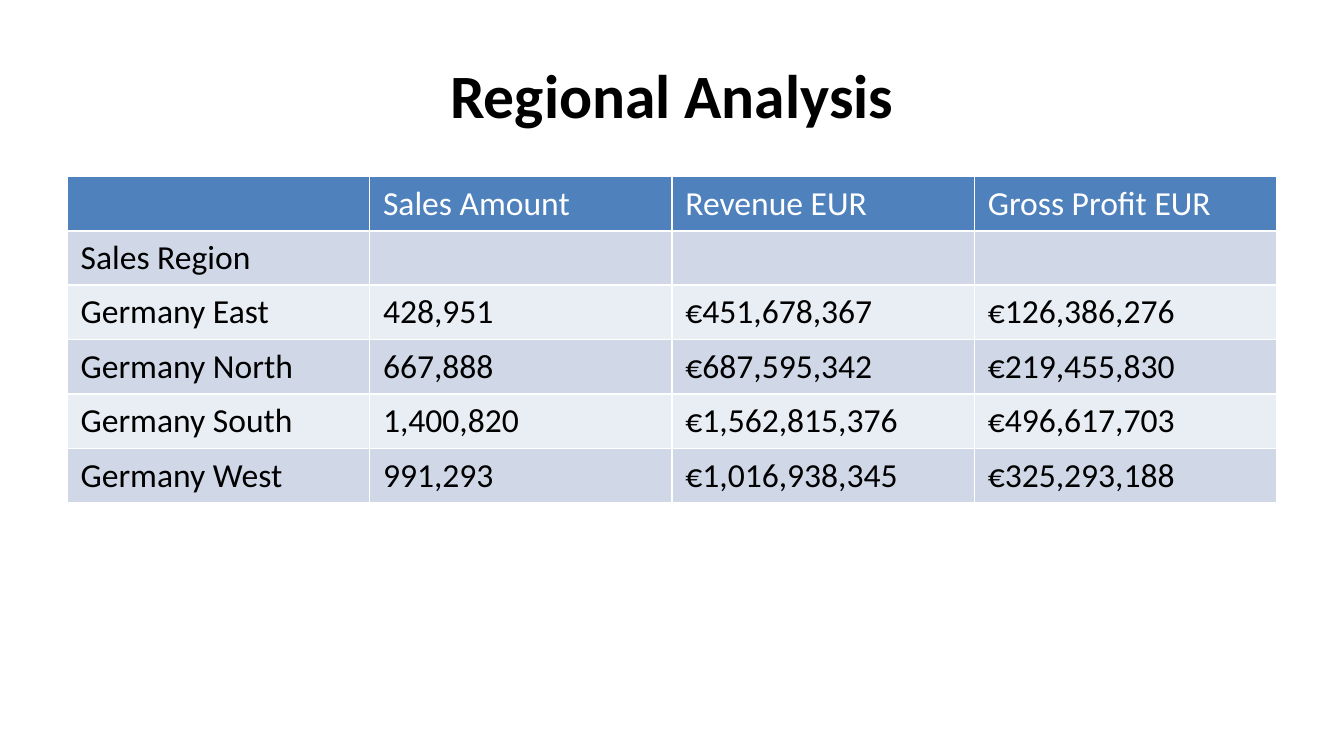
from lxml import etree
from pptx import Presentation
from pptx.dml.color import RGBColor
from pptx.enum import text
from pptx.oxml import ns
from pptx.util import Pt

FONT = "Calibri"
COLORS = {
    "header": "4F81BD",
    "band_dark": "D0D8E8",
    "band_light": "E9EDF4",
    "white": "FFFFFF",
    "black": "000000",
}
ROWS = [
    ["", "Sales Amount", "Revenue EUR", "Gross Profit EUR"],
    ["Sales Region", "", "", ""],
    ["Germany East", "428,951", "€451,678,367", "€126,386,276"],
    ["Germany North", "667,888", "€687,595,342", "€219,455,830"],
    ["Germany South", "1,400,820", "€1,562,815,376", "€496,617,703"],
    ["Germany West", "991,293", "€1,016,938,345", "€325,293,188"],
]
LEFT, WIDTH = Pt(36), Pt(648)
ROW_HEIGHT = Pt(29.16)


def rgb(name):
    return RGBColor.from_string(COLORS[name])


def format_runs(tf, size, color, bold=False):
    for p in tf.paragraphs:
        for r in p.runs:
            r.font.name = FONT
            r.font.size = Pt(size)
            r.font.bold = bold
            r.font.color.rgb = rgb(color)


def add_title(s, title):
    sp = s.shapes.add_textbox(LEFT, Pt(16.5), WIDTH, Pt(67.5))
    tf = sp.text_frame
    tf.word_wrap = True
    tf.vertical_anchor = text.MSO_ANCHOR.MIDDLE
    tf.text = title
    tf.paragraphs[0].alignment = text.PP_ALIGN.CENTER
    format_runs(tf, 33, "black", bold=True)


def set_borders(cell, color, width):
    tc_pr = cell._tc.get_or_add_tcPr()
    for side in ("lnL", "lnR", "lnT", "lnB"):
        ln = etree.SubElement(tc_pr, ns.qn(f"a:{side}"), w=str(Pt(width)))
        fill = etree.SubElement(ln, ns.qn("a:solidFill"))
        etree.SubElement(fill, ns.qn("a:srgbClr"), val=COLORS[color])


def add_region_table(s, rows):
    n_rows, n_cols = len(rows), len(rows[0])
    table = s.shapes.add_table(
        n_rows, n_cols, LEFT, Pt(94.5), WIDTH, ROW_HEIGHT * n_rows).table
    for i, values in enumerate(rows):
        table.rows[i].height = ROW_HEIGHT
        # Header row first, then alternating bands
        if i == 0:
            fill, color = "header", "white"
        else:
            fill, color = ("band_dark" if i % 2 else "band_light"), "black"
        for j, value in enumerate(values):
            cell = table.cell(i, j)
            set_borders(cell, "white", 1)
            cell.fill.solid()
            cell.fill.fore_color.rgb = rgb(fill)
            if value:
                cell.text_frame.text = value
                format_runs(cell.text_frame, 18, color)


def main():
    prs = Presentation()
    prs.slide_width, prs.slide_height = Pt(720), Pt(405)
    s = prs.slides.add_slide(prs.slide_layouts[6])
    add_title(s, "Regional Analysis")
    add_region_table(s, ROWS)
    prs.save("out.pptx")


if __name__ == "__main__":
    main()
